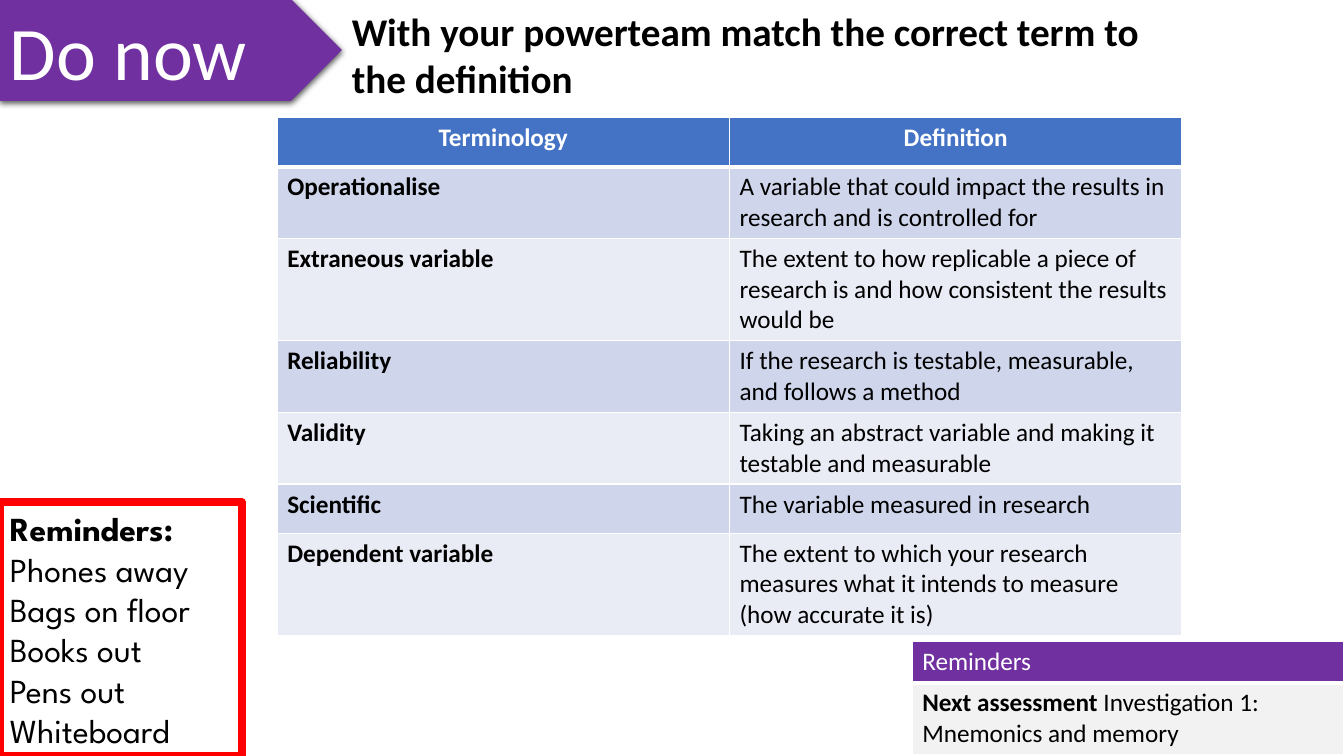
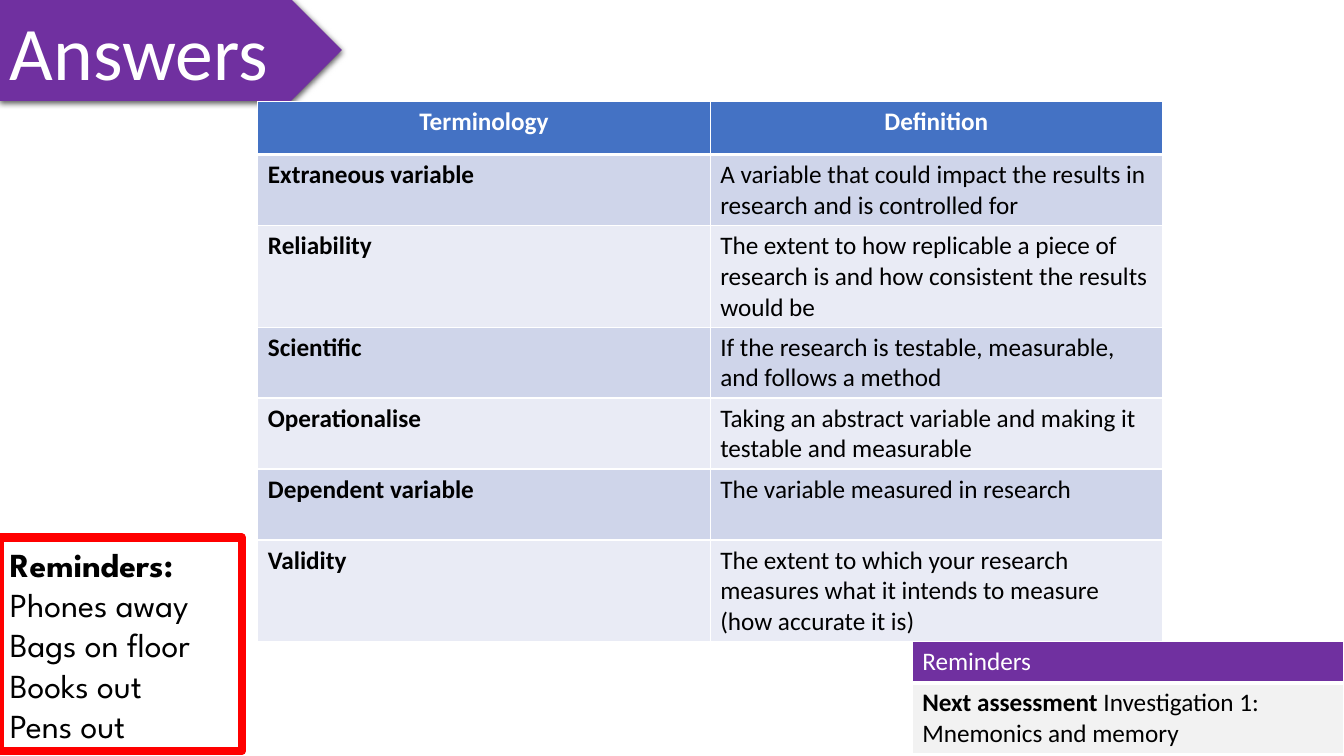
from lxml.etree import SubElement as Sub
from pptx import Presentation
from pptx.dml.color import RGBColor as RGB
from pptx.enum.shapes import MSO_SHAPE as Kind
from pptx.enum.text import MSO_ANCHOR as Anchor, MSO_AUTO_SIZE as Fit, PP_ALIGN as Align
from pptx.oxml.ns import qn
from pptx.util import Emu, Pt

COLS, ROWS = 160, 90
WIDE, HIGH = 12192000, 6858000
HUES = {
    "purple": "7030A0", "red": "FF0000", "blue": "4472C4", "odd": "CFD5EA",
    "even": "E9EBF5", "grey": "F2F2F2", "white": "FFFFFF", "black": "000000",
}
DEFS = [
    "A variable that could impact the results in research and is controlled for",
    "The extent to how replicable a piece of research is and how consistent the results would be",
    "If the research is testable, measurable, and follows a method",
    "Taking an abstract variable and making it testable and measurable",
    "The variable measured in research",
    "The extent to which your research measures what it intends to measure (how accurate it is)",
]
TASKS = ["Phones away", "Bags on floor", "Books out", "Pens out"]
LINE, PAIR, TRIO = 5.85, 8.45, 12.1


def grid(x, y, w, h):
    dx, dy = WIDE / COLS, HIGH / ROWS
    return [Emu(round(n * d)) for n, d in zip((x, y, w, h), (dx, dy, dx, dy))]


def write(frame, *lines, size=18, font="Calibri", hue="black", bold=False, align=Align.LEFT):
    frame.word_wrap = True
    for i, line in enumerate(lines):
        para = frame.add_paragraph() if i else frame.paragraphs[0]
        para.alignment = align
        for text, heavy in [(line, bold)] if isinstance(line, str) else line:
            run = para.add_run()
            run.text = text
            run.font.size = Pt(size)
            run.font.name = font
            run.font.bold = heavy
            run.font.color.rgb = RGB.from_string(HUES[hue])


class Deck:
    def __init__(self):
        self.file = Presentation()
        self.file.slide_width, self.file.slide_height = Emu(WIDE), Emu(HIGH)
        self.page = None

    def start(self):
        self.page = self.file.slides.add_slide(self.file.slide_layouts[6])

    def shape(self, kind, *at):
        item = self.page.shapes.add_shape(kind, *grid(*at))
        item.shadow.inherit = False
        item.text_frame.vertical_anchor = Anchor.MIDDLE
        return item

    def banner(self, text):
        item = self.shape(Kind.PENTAGON, 0, -0.1, 40.7, 12.1)
        item.fill.solid()
        item.fill.fore_color.rgb = RGB.from_string(HUES["purple"])
        item.line.fill.background()
        list_ = item.element.spPr.find(qn("a:effectLst"))
        shade = Sub(list_, qn("a:outerShdw"), blurRad=str(Pt(4.5)), dist=str(Pt(1.5)),
                    dir="5400000", algn="ctr", rotWithShape="0")
        tint = Sub(shade, qn("a:srgbClr"), val=HUES["black"])
        Sub(tint, qn("a:alpha"), val="63000")
        write(item.text_frame, text, size=54, hue="white")

    def tasks(self, top, high, items):
        item = self.shape(Kind.RECTANGLE, 0, top, 28.8, high)
        item.fill.background()
        item.line.color.rgb = RGB.from_string(HUES["red"])
        item.line.width = Pt(6)
        write(item.text_frame, [("Reminders:", True)], *items, size=24, font="League Spartan")

    def title(self, text):
        item = self.page.shapes.add_textbox(*grid(40.7, 0.24, 102.8, 18.1))
        write(item.text_frame, text, size=28, bold=True)
        item.text_frame.auto_size = Fit.SHAPE_TO_FIT_TEXT

    def table(self, x, y, wide, count, rows):
        at = grid(x, y, wide, sum(rows))
        table = self.page.shapes.add_table(len(rows), count, *at).table
        for row, high in zip(table.rows, rows):
            row.height = grid(0, 0, 0, high)[3]
        return table

    def cell(self, cell, *lines, fill, base=1, **form):
        props = cell._tc.get_or_add_tcPr()
        for side in "LRTB":
            edge = Sub(props, qn("a:ln" + side), w=str(Pt(base if side == "B" else 1)))
            Sub(Sub(edge, qn("a:solidFill")), qn("a:srgbClr"), val=HUES["white"])
        cell.fill.solid()
        cell.fill.fore_color.rgb = RGB.from_string(HUES[fill])
        write(cell.text_frame, *lines, **form)

    def notice(self):
        table = self.table(108.6, 76.4, 51.4, 1, [4.9, 8.3])
        self.cell(table.cell(0, 0), "Reminders", fill="purple", base=3, hue="white")
        self.cell(table.cell(1, 0), [("Next assessment ", True), ("Investigation 1:", False)],
                  "Mnemonics and memory", fill="grey")

    def terms(self, x, y, names, rows):
        table = self.table(x, y, 107.7, 2, rows)
        for col, head in enumerate(["Terminology", "Definition"]):
            self.cell(table.cell(0, col), head, fill="blue", base=3, hue="white",
                      bold=True, align=Align.CENTER)
        for i, pair in enumerate(zip(names, DEFS), 1):
            for col, text in enumerate(pair):
                self.cell(table.cell(i, col), text, fill="odd" if i % 2 else "even",
                          bold=col == 0)


def main():
    deck = Deck()

    deck.start()
    deck.banner("Do now")
    deck.tasks(59.8, 30.2, TASKS + ["Whiteboard"])
    deck.notice()
    deck.terms(33, 14, ["Operationalise", "Extraneous variable", "Reliability", "Validity",
                        "Scientific", "Dependent variable"],
               [LINE, PAIR, TRIO, PAIR, PAIR, LINE, TRIO])
    deck.title("With your powerteam match the correct term to the definition")

    deck.start()
    deck.banner("Answers")
    deck.tasks(64, 25.4, TASKS)
    deck.terms(30.7, 12.1, ["Extraneous variable", "Reliability", "Scientific", "Operationalise",
                            "Dependent variable", "Validity"],
               [6.3, PAIR, TRIO, PAIR, PAIR, PAIR, TRIO])
    deck.notice()

    deck.file.save("out.pptx")


if __name__ == "__main__":
    main()
